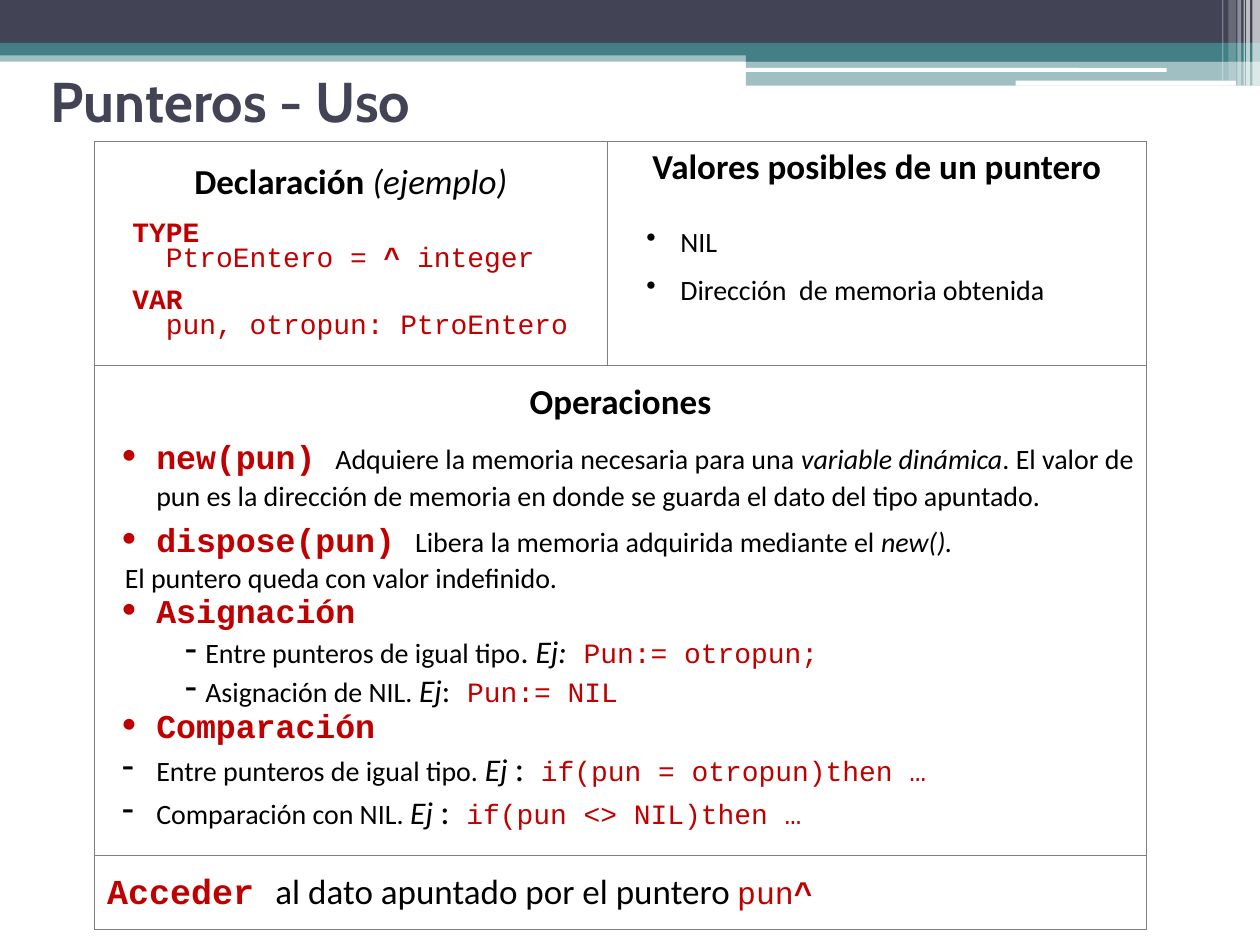
"""Build the slide on the use of pointers: declaration, values and operations."""
from typing import NamedTuple, Optional

from lxml.etree import SubElement
from pptx import Presentation
from pptx.dml.color import RGBColor
from pptx.enum.shapes import MSO_SHAPE as Shape
from pptx.enum.text import MSO_ANCHOR as Anchor, PP_ALIGN as Align
from pptx.oxml import parse_xml
from pptx.oxml.ns import nsdecls, qn
from pptx.util import Inches, Pt

NAVY = RGBColor(0x42, 0x44, 0x56)
TEAL = RGBColor(0x43, 0x80, 0x86)
WHITE = RGBColor(0xFF, 0xFF, 0xFF)
BLACK = RGBColor(0x00, 0x00, 0x00)
RED = RGBColor(0xC0, 0x00, 0x00)
GREY = RGBColor(0x7F, 0x7F, 0x7F)
COLUMNS = 10


class Style(NamedTuple):
    size: float
    font: str = "Calibri"
    color: RGBColor = BLACK
    bold: bool = False
    italic: bool = False


class Bullet(NamedTuple):
    char: str
    color: RGBColor = BLACK
    percent: int = 100


class Line(NamedTuple):
    runs: list
    level: int = 0
    left: float = 0
    hang: float = 0
    bullet: Optional[Bullet] = None
    spacing: float = 1
    before: float = 0
    after: float = 0
    align: Align = Align.LEFT
    tab: Optional[float] = None


class Band(NamedTuple):
    x: float
    y: float
    w: float
    h: float
    color: RGBColor
    alpha: int = 100
    kind: Shape = Shape.RECTANGLE


TITLE = Style(32, "Cabin", NAVY, bold=True)
HEAD = Style(20, bold=True)
HEAD_ITALIC = Style(20, italic=True)
BODY = Style(16)
BODY_ITALIC = Style(16, italic=True)
BIG = Style(18)
EXAMPLE = Style(18, italic=True)
CODE = Style(16, "Courier New", RED)
CODE_BOLD = CODE._replace(bold=True)
TERM = CODE_BOLD._replace(size=19)
DOT = Bullet("•", RED, 125)
DASH = Bullet("-", BLACK, 125)

BANDS = [
    Band(0, 0.4, 10, 0.09, TEAL, 50),
    Band(0, 0, 10, 0.34, NAVY),
    Band(0, 0.34, 10, 0.1, TEAL),
    Band(5.92, 0.39, 4.08, 0.1, TEAL),
    Band(5.92, 0.48, 4.08, 0.2, TEAL, 50),
    Band(5.91, 0.54, 3.35, 0.03, WHITE, kind=Shape.ROUNDED_RECTANGLE),
    Band(8.06, 0.64, 1.75, 0.04, WHITE, kind=Shape.ROUNDED_RECTANGLE),
] + [
    Band(x, 0, w, h, WHITE, alpha)
    for x, w, h, alpha in [
        (9.94, 0.06, 0.68, 65), (9.89, 0.03, 0.68, 65), (9.87, 0.01, 0.68, 60),
        (9.82, 0.03, 0.68, 40), (9.75, 0.06, 0.64, 20), (9.7, 0.01, 0.64, 30)]
]


def heading(*runs: tuple, after: float = 12) -> Line:
    """Return a centred cell heading."""
    return Line(list(runs), spacing=0.8, after=after, align=Align.CENTER)


def code(*runs: tuple, before: float = 0) -> Line:
    """Return an indented line of code."""
    return Line(list(runs), 1, 0.2, spacing=0.8, before=before)


def value(text: str) -> Line:
    """Return a bulleted pointer value."""
    return Line([(text, BODY)], 1, 0.48, -0.27, Bullet("•"), 0.8, after=12)


def operation(*runs: tuple, bullet: Bullet = DOT, after: float = 0) -> Line:
    """Return a first-level item of the operations list."""
    return Line(list(runs), 1, 0.39, -0.27, bullet, after=after)


def detail(*runs: tuple) -> Line:
    """Return a second-level item of the operations list."""
    return Line(list(runs), 2, 0.78, -0.16, DASH)


DECLARATION = [
    heading(("Declaración ", HEAD), ("(ejemplo)", HEAD_ITALIC)),
    code(("TYPE", CODE_BOLD)),
    code(("  PtroEntero = ", CODE), ("^", CODE_BOLD), (" integer", CODE)),
    code(("VAR", CODE_BOLD), before=9),
    code(("  pun, otropun: PtroEntero", CODE)),
]
VALUES = [
    heading(("Valores posibles de un puntero", HEAD), after=25),
    value("NIL"),
    value("Dirección  de memoria obtenida"),
]
OPERATIONS = [
    heading(("Operaciones", HEAD)),
    operation(("new(pun) ", TERM), ("Adquiere la memoria necesaria para una ", BODY),
              ("variable dinámica", BODY_ITALIC),
              (". El valor de pun es la dirección de memoria en donde se guarda "
               "el dato del tipo apuntado.", BODY), after=6),
    operation(("dispose(pun) ", TERM), ("Libera la memoria adquirida mediante el ", BODY),
              ("new().", BODY_ITALIC)),
    Line([("El puntero queda con valor indefinido.", BODY)], left=0.14),
    operation(("Asignación", TERM)),
    detail(("Entre punteros de igual tipo", BODY), (". ", BIG), ("Ej:", EXAMPLE),
           (" Pun:= otropun;", CODE)),
    detail(("Asignación de NIL. ", BODY), ("Ej", EXAMPLE), (":", BIG), (" Pun:= NIL", CODE)),
    operation(("Comparación", TERM)),
    operation(("Entre punteros de igual tipo. ", BODY), ("Ej ", EXAMPLE), (":", Style(20)),
              (" if(pun = otropun)then …", CODE), bullet=DASH),
    operation(("Comparación con NIL. ", BODY), ("Ej ", EXAMPLE), (":", Style(20)),
              (" if(pun <> NIL)then …", CODE), bullet=DASH),
]
ACCESS = [
    Line([("Acceder ", TERM._replace(size=20)),
          ("al dato apuntado por el puntero\t", Style(20)),
          ("pun", CODE._replace(size=18)), ("^", CODE_BOLD._replace(size=18))], tab=5.16),
]


def format_run(r, style: Style) -> None:
    """Apply a style to a run."""
    r.font.size, r.font.name = Pt(style.size), style.font
    r.font.bold, r.font.italic = style.bold, style.italic
    r.font.color.rgb = style.color


def draw_band(s, band: Band, unit: float) -> None:
    """Draw one band of the header."""
    sp = s.shapes.add_shape(band.kind, *(round(v * unit) for v in band[:4]))
    sp.shadow.inherit = False
    sp.line.fill.background()
    sp.fill.solid()
    sp.fill.fore_color.rgb = band.color
    if band.alpha < 100:
        color = sp._element.spPr.find(".//" + qn("a:srgbClr"))
        SubElement(color, qn("a:alpha"), val=str(band.alpha * 1000))


def write_line(p, line: Line) -> None:
    """Write one paragraph with its indents, bullet and runs."""
    pPr = p._p.get_or_add_pPr()
    pPr.set("marL", str(Inches(line.left)))
    pPr.set("indent", str(Inches(line.hang)))
    if line.bullet:
        color = SubElement(pPr, qn("a:buClr"))
        SubElement(color, qn("a:srgbClr"), val=str(line.bullet.color))
        SubElement(pPr, qn("a:buSzPct"), val=str(line.bullet.percent * 1000))
        SubElement(pPr, qn("a:buChar"), char=line.bullet.char)
    if line.tab:
        tabs = SubElement(pPr, qn("a:tabLst"))
        SubElement(tabs, qn("a:tab"), pos=str(Inches(line.tab)), algn="l")
    p.level, p.alignment, p.line_spacing = line.level, line.align, line.spacing
    p.space_before, p.space_after = Pt(line.before), Pt(line.after)
    for text, style in line.runs:
        r = p.add_run()
        r.text = text
        format_run(r, style)


def write_cell(cell, lines: list) -> None:
    """Fill a cell with paragraphs."""
    tf = cell.text_frame
    for i, line in enumerate(lines):
        write_line(tf.add_paragraph() if i else tf.paragraphs[0], line)


def frame_cell(cell) -> None:
    """Clear a cell's fill and draw its four borders."""
    cell.vertical_anchor = Anchor.MIDDLE
    cell.fill.background()
    tcPr = cell._tc.get_or_add_tcPr()
    for i, side in enumerate("LRTB"):
        tcPr.insert(i, parse_xml(
            f'<a:ln{side} {nsdecls("a")} w="{Pt(0.45)}"><a:solidFill>'
            f'<a:srgbClr val="{GREY}"/></a:solidFill></a:ln{side}>'))


def draw_table(s, unit: float) -> None:
    """Draw the table of pointer uses."""
    widths, heights = (4.07, 4.28), (1.78, 3.89, 0.59)
    box = (0.75, 1.12, sum(widths), sum(heights))
    table = s.shapes.add_table(3, 2, *(round(v * unit) for v in box)).table
    table.first_row = table.horz_banding = False
    for column, width in zip(table.columns, widths):
        column.width = round(width * unit)
    for row, height in zip(table.rows, heights):
        row.height = round(height * unit)
    for cell in table.iter_cells():
        frame_cell(cell)
    for row in (1, 2):
        table.cell(row, 0).merge(table.cell(row, 1))
    table.cell(0, 1).margin_bottom = Inches(0.43)
    contents = {(0, 0): DECLARATION, (0, 1): VALUES, (1, 0): OPERATIONS, (2, 0): ACCESS}
    for place, lines in contents.items():
        write_cell(table.cell(*place), lines)


def main() -> None:
    """Build and save the slide."""
    prs = Presentation()
    prs.slide_width, prs.slide_height = Inches(10), Inches(7.5)
    unit = prs.slide_width / COLUMNS
    s = prs.slides.add_slide(prs.slide_layouts[5])
    for band in BANDS:
        draw_band(s, band, unit)
    title = s.shapes.title
    title._element.getparent().append(title._element)
    title.left, title.top, title.width, title.height = (
        round(v * unit) for v in (0.3, 0.36, 5.33, 0.87))
    tf = title.text_frame
    tf.text = "Punteros - Uso"
    tf.vertical_anchor = Anchor.MIDDLE
    p = tf.paragraphs[0]
    p.alignment = Align.LEFT
    format_run(p.runs[0], TITLE)
    draw_table(s, unit)
    prs.save("out.pptx")


if __name__ == "__main__":
    main()
